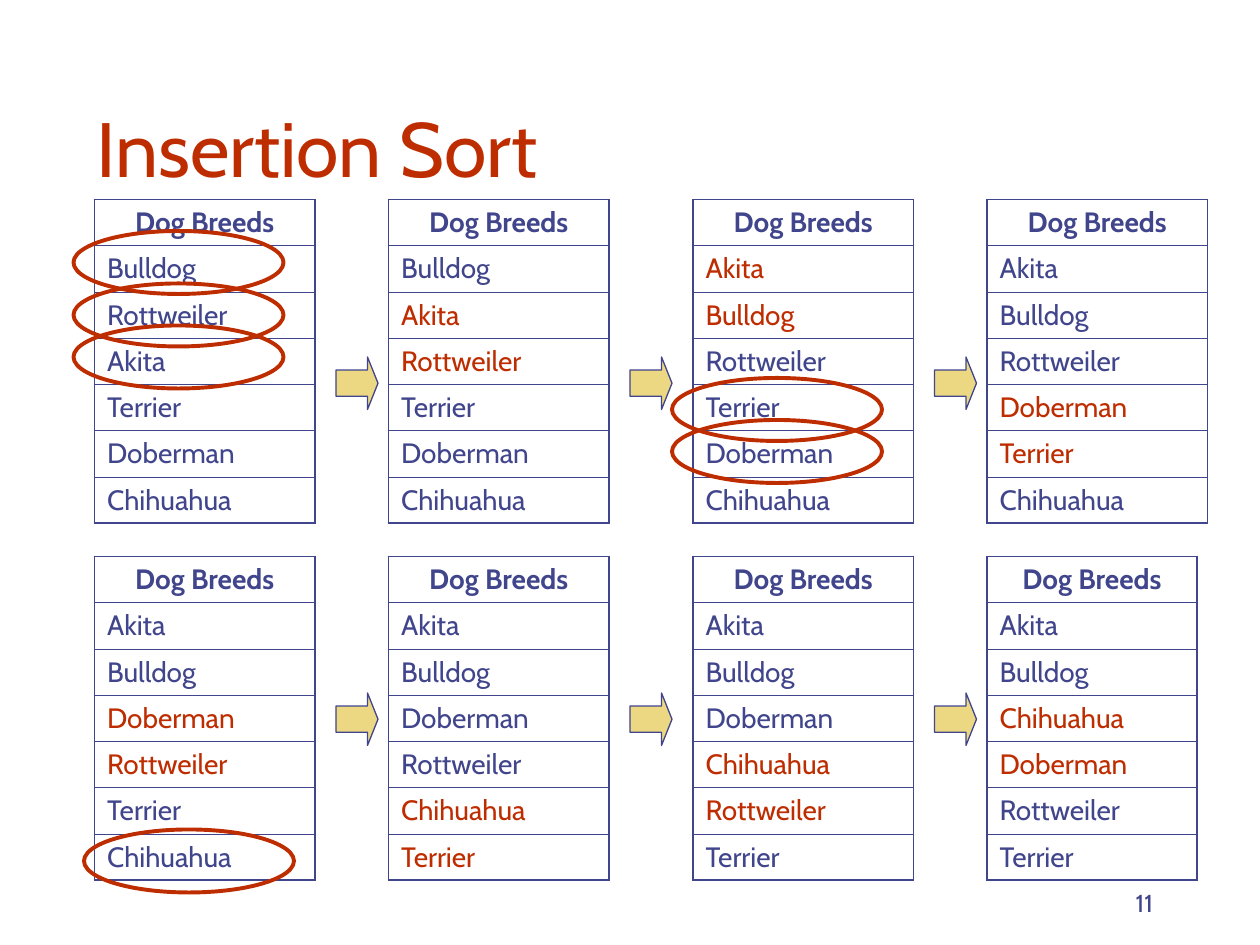
from lxml import etree
from pptx import Presentation
from pptx import util as u
from pptx.dml.color import RGBColor
from pptx.enum import shapes, text
from pptx.oxml.ns import qn

PX = 7620
FONT = "Cabin"
BLUE, RED, SAND = "40458C", "BE2D00", "ECD882"
HEADING = "Dog Breeds"
ROW_HEIGHT = 44
THIN, THICK = 0.45, 1.08

COLUMN_LEFTS = [90, 370, 660, 940]
STEP_ROWS = [
    {"top": 190, "arrow_drop": 150, "widths": [210, 210, 210, 210], "steps": [
        ("Bulldog Rottweiler Akita Terrier Doberman Chihuahua", ()),
        ("Bulldog Akita Rottweiler Terrier Doberman Chihuahua", (2, 3)),
        ("Akita Bulldog Rottweiler Terrier Doberman Chihuahua", (1, 2)),
        ("Akita Bulldog Rottweiler Doberman Terrier Chihuahua", (4, 5)),
    ]},
    {"top": 530, "arrow_drop": 130, "widths": [210, 210, 210, 200], "steps": [
        ("Akita Bulldog Doberman Rottweiler Terrier Chihuahua", (3, 4)),
        ("Akita Bulldog Doberman Rottweiler Chihuahua Terrier", (5, 6)),
        ("Akita Bulldog Doberman Chihuahua Rottweiler Terrier", (4, 5)),
        ("Akita Bulldog Chihuahua Doberman Rottweiler Terrier", (3, 4)),
    ]},
]
RINGS = [(70, 270), (70, 310), (640, 360), (80, 790), (70, 220), (640, 400)]


def emu(*lengths):
    return [u.Emu(length * PX) for length in lengths]


def color(value):
    return RGBColor.from_string(value)


def add_span(para, words, size, ink, bold=False):
    span = para.add_run()
    span.text = words
    span.font.name = FONT
    span.font.size = u.Pt(size)
    span.font.bold = bold
    span.font.color.rgb = color(ink)


def add_label(page, box, words, size, ink, align):
    frame = page.shapes.add_textbox(*emu(*box)).text_frame
    frame.word_wrap = True
    frame.vertical_anchor = text.MSO_ANCHOR.BOTTOM
    para = frame.paragraphs[0]
    para.alignment = align
    add_span(para, words, size, ink)


def set_border(cell, side, points):
    line = etree.SubElement(cell._tc.get_or_add_tcPr(), qn(f"a:{side}"), w=str(u.Pt(points)))
    fill = etree.SubElement(line, qn("a:solidFill"))
    etree.SubElement(fill, qn("a:srgbClr"), val=BLUE)


def add_breed_table(page, left, top, width, breeds, moved):
    words = [HEADING, *breeds]
    last = len(words) - 1
    frame = page.shapes.add_table(len(words), 1, *emu(left, top, width, ROW_HEIGHT * len(words)))
    table = frame.table
    table.first_row = table.horz_banding = False
    for index, word in enumerate(words):
        table.rows[index].height = emu(ROW_HEIGHT)[0]
        cell = table.cell(index, 0)
        borders = {
            "lnL": THICK,
            "lnR": THICK,
            "lnT": THICK if index == 0 else THIN,
            "lnB": THICK if index == last else THIN,
        }
        for side, points in borders.items():
            set_border(cell, side, points)
        cell.fill.background()
        para = cell.text_frame.paragraphs[0]
        para.alignment = text.PP_ALIGN.CENTER if index == 0 else text.PP_ALIGN.LEFT
        add_span(para, word, 16, RED if index in moved else BLUE, bold=index == 0)


def add_outlined(page, kind, box, ink, points, fill=None):
    shape = page.shapes.add_shape(kind, *emu(*box))
    shape.shadow.inherit = False
    shape.line.color.rgb = color(ink)
    shape.line.width = u.Pt(points)
    if fill:
        shape.fill.solid()
        shape.fill.fore_color.rgb = color(fill)
    else:
        shape.fill.background()
    return shape


def add_arrow(page, left, top):
    arrow = add_outlined(page, shapes.MSO_SHAPE.RIGHT_ARROW, (left, top, 40, 50), BLUE, 0.75, SAND)
    arrow.adjustments[0] = 0.5
    arrow.adjustments[1] = 0.25


def add_step_row(page, top, arrow_drop, widths, steps):
    for left, width, (breeds, moved) in zip(COLUMN_LEFTS, widths, steps):
        add_breed_table(page, left, top, width, breeds.split(), moved)
    for left, width in zip(COLUMN_LEFTS[:-1], widths):
        add_arrow(page, left + width + 20, top + arrow_drop)


def main():
    deck = Presentation()
    deck.slide_width, deck.slide_height = emu(1200, 900)
    page = deck.slides.add_slide(deck.slide_layouts[6])
    add_label(page, (860, 820, 250, 60), "11", 14, BLUE, text.PP_ALIGN.RIGHT)
    add_label(page, (80, 40, 1020, 150), "Insertion Sort", 44, RED, text.PP_ALIGN.LEFT)
    for row in STEP_ROWS:
        add_step_row(page, **row)
    for left, top in RINGS:
        add_outlined(page, shapes.MSO_SHAPE.OVAL, (left, top, 200, 60), RED, 2.25)
    deck.save("out.pptx")


if __name__ == "__main__":
    main()
